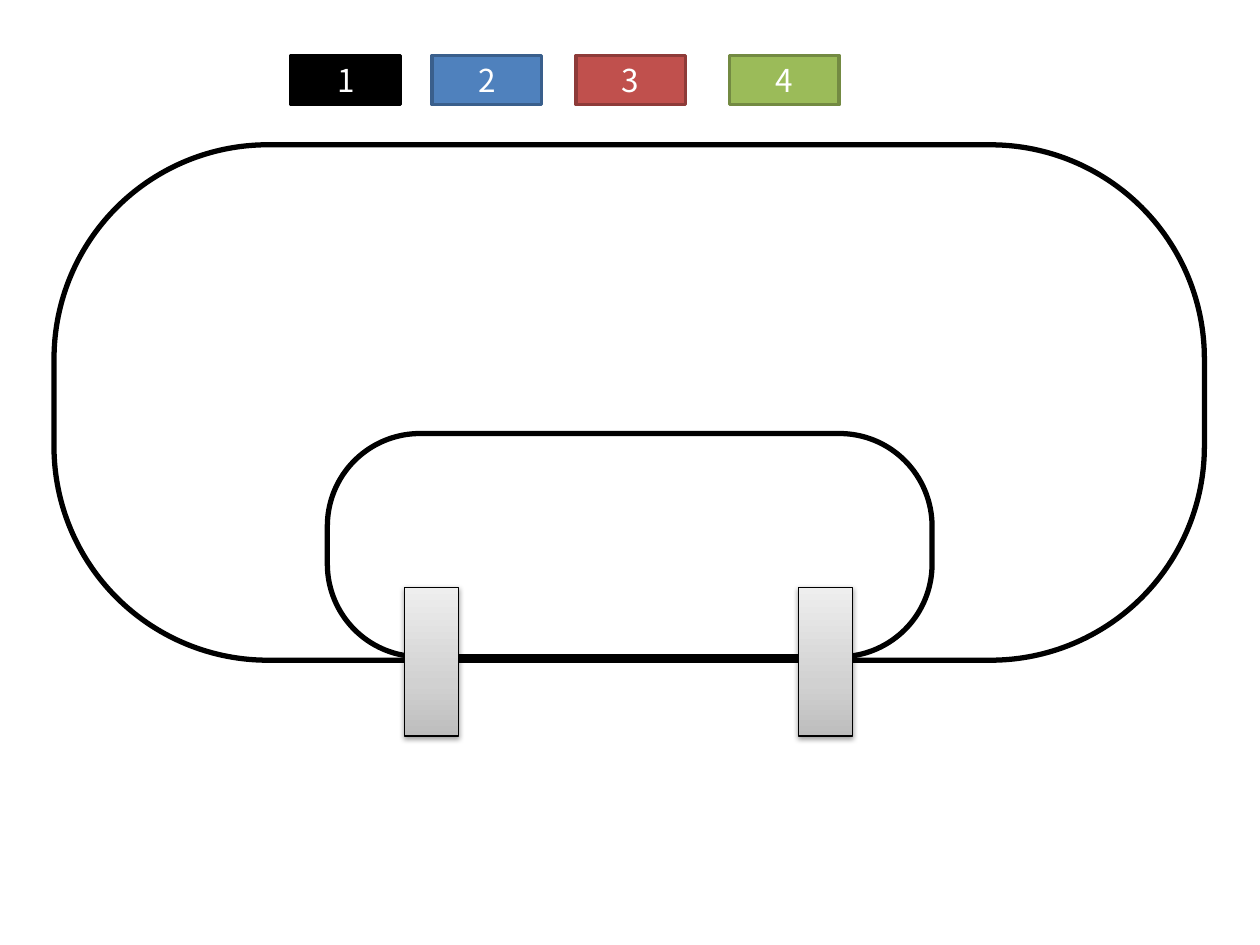
from lxml.etree import SubElement
from pptx import Presentation
from pptx.dml.color import RGBColor
from pptx.enum.shapes import MSO_SHAPE as Shape
from pptx.enum.text import MSO_ANCHOR as Anchor, PP_ALIGN as Align
from pptx.oxml.ns import qn
from pptx.util import Cm, Pt

# Content: lengths in centimetres
FONT = "Noto Sans CJK KR"
TRACKS = [(1.09, 2.92, 23.19, 10.39), (6.6, 8.74, 12.19, 4.5)]
CORNER = 0.415
CARS = [  # text, left, fill, line
    ("1", 5.87, "000000", "000000"),
    ("2", 8.71, "4F81BD", "3A5F8C"),
    ("3", 11.61, "C0504D", "8E3B39"),
    ("4", 14.71, "9BBB59", "738A42"),
]
CAR_TOP, CAR_WIDTH, CAR_HEIGHT = 1.12, 2.21, 0.99
GATE_LEFTS = [8.15, 16.1]
GATE_TOP, GATE_WIDTH, GATE_HEIGHT = 11.84, 1.09, 3
GATE_STOPS = [(0, "BDBDBD"), (35, "D1D1D1"), (100, "EEEEEE")]


def color(value):
    return RGBColor.from_string(value)


def add_box(shapes, kind, place, line, width, fill=None):
    box = shapes.add_shape(kind, *(Cm(length) for length in place))
    box.shadow.inherit = False
    box.line.color.rgb = color(line)
    box.line.width = Pt(width)
    if fill:
        box.fill.solid()
        box.fill.fore_color.rgb = color(fill)
    return box


def write(box, text, size=18, ink="FFFFFF", align=Align.CENTER):
    box.text_frame.vertical_anchor = Anchor.MIDDLE
    para = box.text_frame.paragraphs[0]
    para.alignment = align
    span = para.add_run()
    span.text = text
    span.font.name, span.font.size = FONT, Pt(size)
    span.font.color.rgb = color(ink)


def add_color(parent, value):
    return SubElement(parent, qn("a:srgbClr"), val=value)


def shade(box, stops):
    """Upward gradient with the given stops."""
    box.fill.gradient()
    box.fill.gradient_angle = 90
    stop_list = box._element.spPr.find(".//" + qn("a:gsLst"))
    for stop in list(stop_list):
        stop_list.remove(stop)
    for percent, value in stops:
        add_color(SubElement(stop_list, qn("a:gs"), pos=str(percent * 1000)), value)


def drop_shadow(box, blur=3.1, distance=1.6, angle=90, opacity=38):
    effects = box._element.spPr.find(qn("a:effectLst"))
    shadow = SubElement(effects, qn("a:outerShdw"), blurRad=str(Pt(blur)),
                        dist=str(Pt(distance)), dir=str(angle * 60000), rotWithShape="0")
    SubElement(add_color(shadow, "000000"), qn("a:alpha"), val=str(opacity * 1000))


deck = Presentation()
deck.slide_width, deck.slide_height = Cm(25.4), Cm(19.05)
page = deck.slides.add_slide(deck.slide_layouts[6])

# Outer and inner track
circuit = page.shapes.add_group_shape()
for place in TRACKS:
    track = add_box(circuit.shapes, Shape.ROUNDED_RECTANGLE, place, "000000", 3, "FFFFFF")
    track.adjustments[0] = CORNER

# Numbered cars
for text, left, fill, line in CARS:
    place = (left, CAR_TOP, CAR_WIDTH, CAR_HEIGHT)
    write(add_box(page.shapes, Shape.RECTANGLE, place, line, 2, fill), text)

# Gates across the shared stretch
for left in GATE_LEFTS:
    place = (left, GATE_TOP, GATE_WIDTH, GATE_HEIGHT)
    gate = add_box(page.shapes, Shape.RECTANGLE, place, "000000", 0.75)
    shade(gate, GATE_STOPS)
    drop_shadow(gate)

deck.save("out.pptx")
